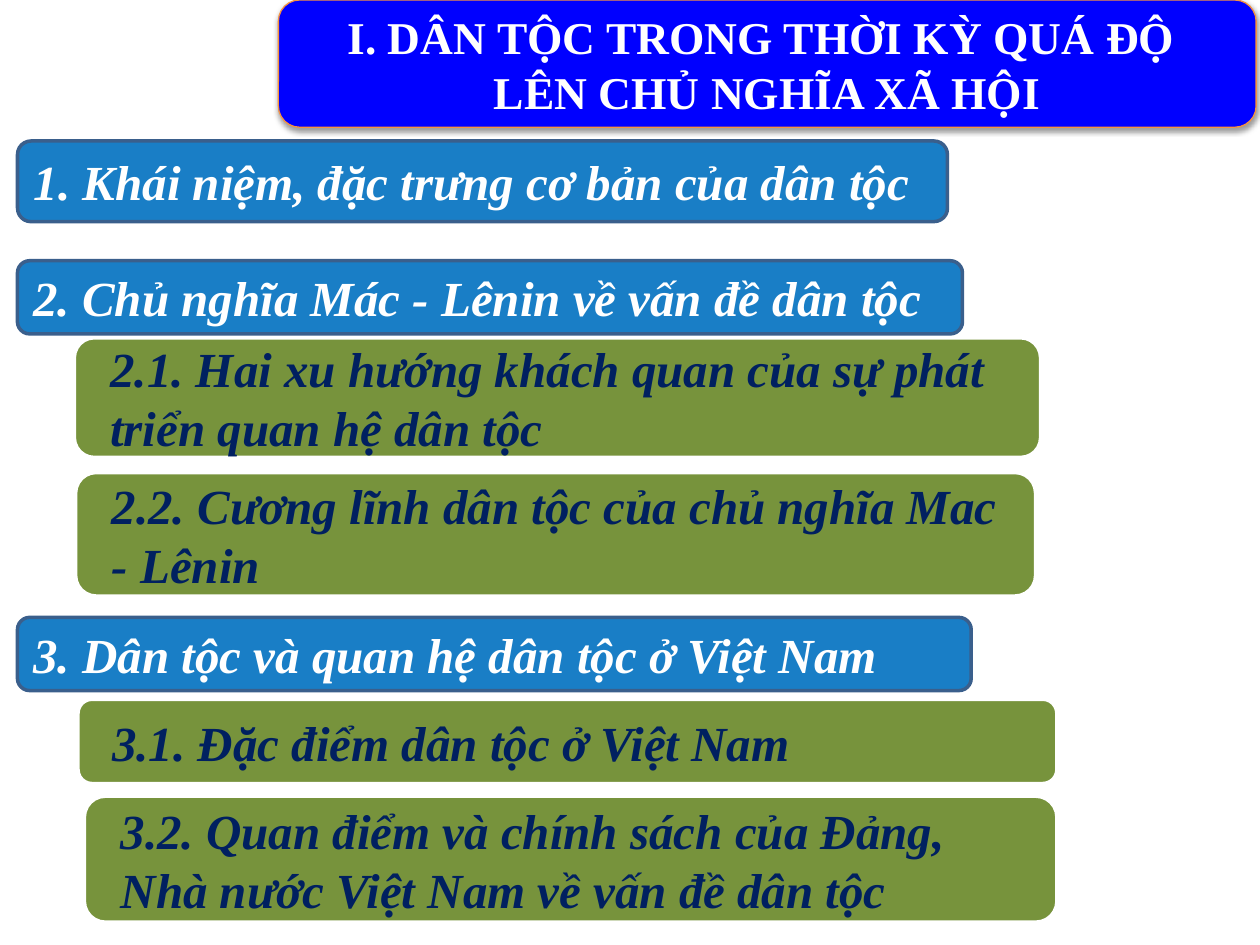
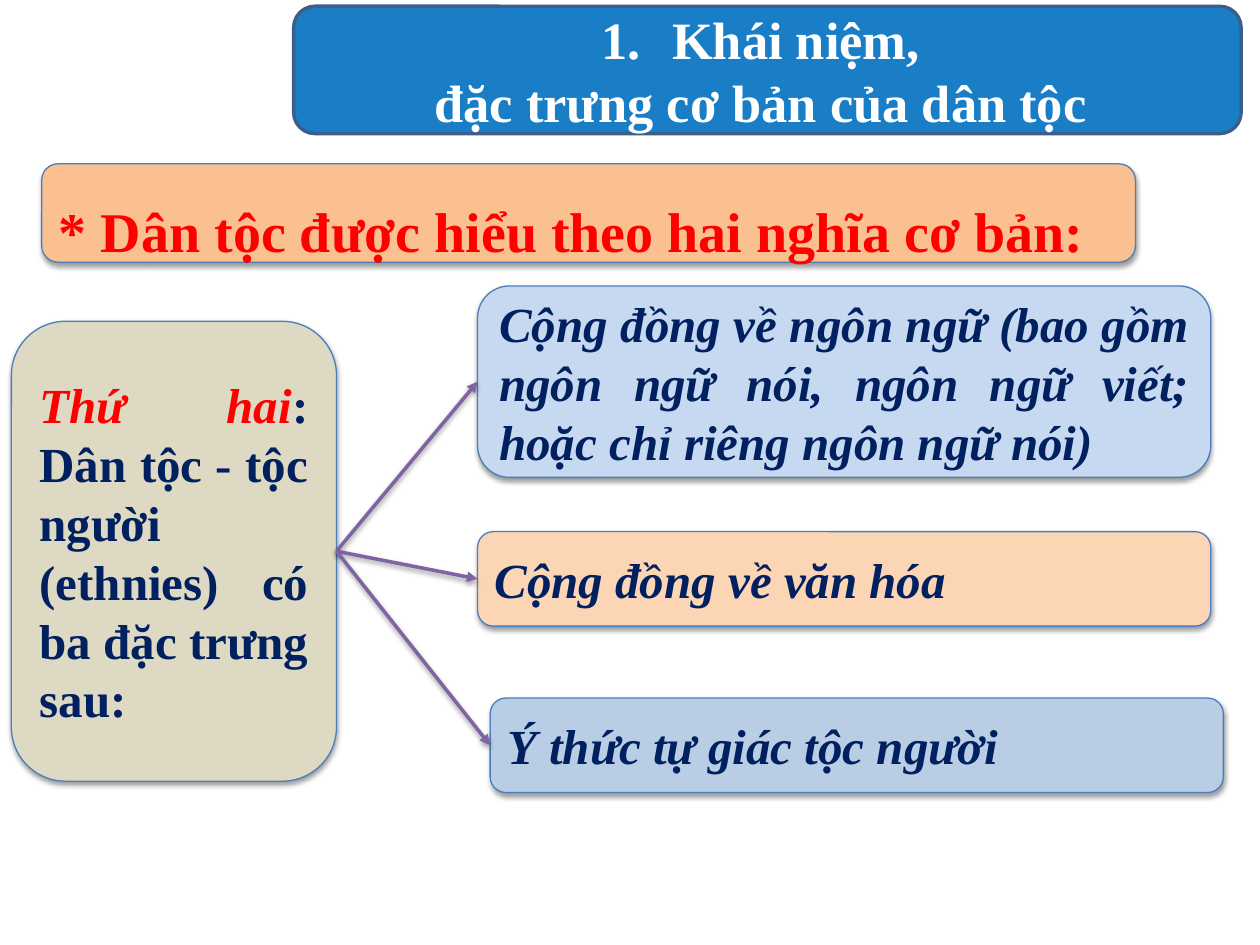
from lxml.etree import SubElement
from pptx import Presentation
from pptx.dml.color import RGBColor
from pptx.enum.shapes import MSO_CONNECTOR, MSO_SHAPE
from pptx.enum.text import MSO_ANCHOR, PP_ALIGN
from pptx.oxml.ns import qn
from pptx.util import Pt

FONT = "Times New Roman"
COLORS = {
    "white": "FFFFFF", "navy": "002060", "red": "FF0000", "royal": "0000FF",
    "orange": "F69240", "blue": "0070C0", "steel": "3A5F8C", "green": "77933C",
    "edge": "4B7EBC", "apricot": "FAC090", "sand": "DDD9C3", "sky": "C6D9F1",
    "peach": "FCD5B5", "mist": "B9CDE5", "purple": "8064A2",
}
RGB = {name: RGBColor.from_string(value) for name, value in COLORS.items()}
CENTER, JUSTIFY, LEFT = PP_ALIGN.CENTER, PP_ALIGN.JUSTIFY, PP_ALIGN.LEFT


def add_shadow(properties):
    """Put a soft shadow below a shape or connector."""
    effects = properties.find(qn("a:effectLst"))
    if effects is None:
        effects = SubElement(properties, qn("a:effectLst"))
    shadow = SubElement(effects, qn("a:outerShdw"), blurRad=str(Pt(3.1)),
                        dist=str(Pt(1.6)), dir="5400000", rotWithShape="0")
    color = SubElement(shadow, qn("a:srgbClr"), val="000000")
    SubElement(color, qn("a:alpha"), val="38000")


def add_box(page, place, fill, line, lines, size=28, color="white",
            align=JUSTIFY, italic=True, width=0.75, shadow=False, numbered=False):
    """Draw a rounded box with one paragraph for each line of text."""
    box = page.shapes.add_shape(MSO_SHAPE.ROUNDED_RECTANGLE, *map(Pt, place))
    box.fill.solid()
    box.fill.fore_color.rgb = RGB[fill]
    box.line.color.rgb = RGB[line]
    box.line.width = Pt(width)
    box.shadow.inherit = False
    properties = box._element.spPr
    if shadow:
        add_shadow(properties)
    if fill == "blue":
        tint = properties.find(qn("a:solidFill")).find(qn("a:srgbClr"))
        SubElement(tint, qn("a:alpha"), val="90000")
    frame = box.text_frame
    frame.word_wrap = True
    frame.vertical_anchor = MSO_ANCHOR.MIDDLE
    for index, text in enumerate(lines):
        para = frame.paragraphs[0] if index == 0 else frame.add_paragraph()
        para.alignment = align
        if numbered and index == 0:
            settings = para._p.get_or_add_pPr()
            settings.set("marL", str(Pt(40.3)))
            settings.set("indent", str(-Pt(40.3)))
            SubElement(settings, qn("a:buFont"), typeface="+mj-lt")
            SubElement(settings, qn("a:buAutoNum"), type="arabicPeriod")
        para.add_run().text = text
        font = para.font
        font.name, font.size = FONT, Pt(size)
        font.bold, font.italic = True, italic
        font.color.rgb = RGB[color]
    return box


deck = Presentation()
deck.slide_width, deck.slide_height = Pt(720), Pt(540)
blank = deck.slide_layouts[6]

# Slide 1: outline of the chapter
page = deck.slides.add_slide(blank)
add_box(page, (159.1, 0, 558.7, 72.7), "royal", "orange",
        ["I. DÂN TỘC TRONG THỜI KỲ QUÁ ĐỘ ", "LÊN CHỦ NGHĨA XÃ HỘI"],
        size=26, align=CENTER, italic=False, shadow=True)

# Main headings: top, width, height, text
headings = [
    (80.6, 531.4, 46.1, "1. Khái niệm, đặc trưng cơ bản của dân tộc"),
    (149, 540, 41.8, "2. Chủ nghĩa Mác - Lênin về vấn đề dân tộc"),
    (352.8, 545, 41.8, "3. Dân tộc và quan hệ dân tộc ở Việt Nam"),
]
for top, width, height, text in headings:
    add_box(page, (10, top, width, height), "blue", "steel", [text], width=2)

# Subheadings: place, text
subheadings = [
    ((42.5, 193, 552.2, 68.4),
     "2.1. Hai xu hướng khách quan của sự phát triển quan hệ dân tộc"),
    ((43.2, 270, 548.6, 70.6),
     "2.2. Cương lĩnh dân tộc của chủ nghĩa Mac - Lênin"),
    ((44.6, 399.6, 559.4, 48.2), "3.1. Đặc điểm dân tộc ở Việt Nam"),
    ((48.2, 455, 555.8, 72),
     "3.2. Quan điểm và chính sách của Đảng, Nhà nước Việt Nam về vấn đề dân tộc"),
]
for place, text in subheadings:
    box = add_box(page, place, "green", "white", [text], color="navy",
                  align=LEFT, width=2)
    frame = box.text_frame
    frame.margin_left = frame.margin_right = Pt(17.3)
    frame.margin_top = frame.margin_bottom = 0

# Slide 2: second meaning of the term
page = deck.slides.add_slide(blank)
claim = add_box(page, (23.8, 93.6, 625, 56.2), "apricot", "edge",
                ["* Dân tộc được hiểu theo hai nghĩa cơ bản:"],
                size=32, color="red", italic=False, shadow=True)
claim.text_frame.paragraphs[0].line_spacing = 1.5
claim.text_frame.paragraphs[0].space_after = Pt(6)

# Definition, with its lead words in red italics
definition = add_box(page, (6.5, 183.6, 185.8, 262.8), "sand", "edge",
                     ["Thứ hai", ][:1], color="navy", italic=False, shadow=True)
para = definition.text_frame.paragraphs[0]
lead = para.runs[0]
lead.font.italic = True
lead.font.color.rgb = RGB["red"]
para.add_run().text = ": Dân tộc - tộc người (ethnies) có ba đặc trưng sau:"

# Three features, each with an arrow from the definition
features = [
    ((272.9, 163.4, 419, 109.4), "sky",
     "Cộng đồng về ngôn ngữ (bao gồm ngôn ngữ nói, ngôn ngữ viết; "
     "hoặc chỉ riêng ngôn ngữ nói)"),
    ((272.9, 303.8, 419, 54), "peach", "Cộng đồng về văn hóa"),
    ((280.1, 398.9, 419, 54), "mist", "Ý thức tự giác tộc người"),
]
for place, fill, text in features:
    feature = add_box(page, place, fill, "edge", [text], color="navy", shadow=True)
    feature.text_frame.paragraphs[0].space_after = Pt(12)
    arrow = page.shapes.add_connector(MSO_CONNECTOR.STRAIGHT, 0, 0, 0, 0)
    arrow.begin_connect(definition, 3)
    arrow.end_connect(feature, 1)
    arrow.line.color.rgb = RGB["purple"]
    arrow.line.width = Pt(2)
    SubElement(arrow.line._get_or_add_ln(), qn("a:tailEnd"), type="triangle")
    add_shadow(arrow._element.spPr)

# Section title
add_box(page, (167.8, 3.6, 541.4, 72.7), "blue", "steel",
        ["Khái niệm, ", "đặc trưng cơ bản của dân tộc "],
        size=30, align=CENTER, italic=False, width=2, numbered=True)

deck.save("out.pptx")
